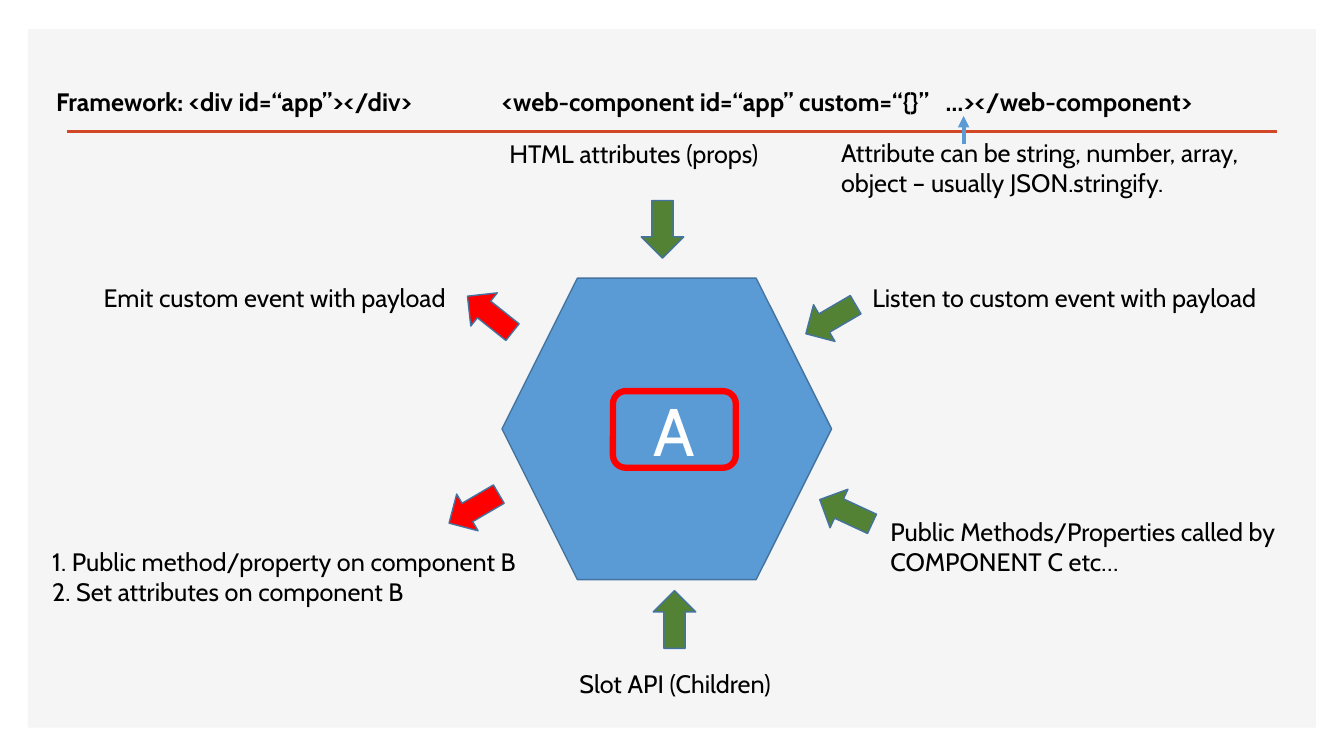
from lxml.etree import SubElement
from pptx import Presentation
from pptx.dml.color import RGBColor
from pptx.enum.shapes import MSO_CONNECTOR, MSO_SHAPE
from pptx.enum.text import MSO_ANCHOR, MSO_AUTO_SIZE, PP_ALIGN
from pptx.oxml.ns import qn
from pptx.util import Pt

COLORS = {
    "panel": "F5F5F5",
    "rule": "D24726",
    "component": "5B9BD5",
    "outline": "43739E",
    "input": "548235",
    "output": "FF0000",
    "text": "000000",
    "letter": "FFFFFF",
}
FONT = "Cabin"
ARROW_WIDTH, ARROW_HEIGHT = 30.4, 41.2

LABELS = [
    (30.2, 386.6, 368, 51, ["1. Public method/property on component B",
                            "2. Set attributes on component B"]),
    (356.7, 95, 222.5, 29, ["HTML attributes (props)"]),
    (616, 198.3, 317, 29, ["Listen to custom event with payload"]),
    (406.8, 473.8, 167, 29, ["Slot API (Children)"]),
    (629, 365, 293, 51, ["Public Methods/Properties called by COMPONENT C etc…"]),
    (67, 198.3, 269, 29, ["Emit custom event with payload"]),
    (593.7, 94.5, 347, 51,
     ["Attribute can be string, number, array, object – usually JSON.stringify."]),
]

ARROWS = [
    (458, 143.2, 180, "input"),
    (334.8, 203.8, 308.6, "output"),
    (466.6, 421.9, 0, "input"),
    (578.2, 207.4, 239.7, "input"),
    (589, 344.9, 294.9, "input"),
    (323.3, 342.7, 239.7, "output"),
]


def rgb(name):
    return RGBColor.from_string(COLORS[name])


def style_font(paragraph, size, color, bold=False):
    font = paragraph.font
    font.name = FONT
    font.size = Pt(size)
    font.bold = bold
    font.color.rgb = rgb(color)


def add_block(slide, kind, left, top, width, height, fill, line=None, weight=1):
    block = slide.shapes.add_shape(kind, Pt(left), Pt(top), Pt(width), Pt(height))
    block.shadow.inherit = False
    block.fill.solid()
    block.fill.fore_color.rgb = rgb(fill)
    if line:
        block.line.color.rgb = rgb(line)
        block.line.width = Pt(weight)
    else:
        block.line.fill.background()
    return block


def add_label(slide, left, top, width, height, lines, bold=False):
    label = slide.shapes.add_textbox(Pt(left), Pt(top), Pt(width), Pt(height))
    frame = label.text_frame
    frame.word_wrap = True
    frame.auto_size = MSO_AUTO_SIZE.SHAPE_TO_FIT_TEXT
    frame.text = "\n".join(lines)
    for paragraph in frame.paragraphs:
        style_font(paragraph, 18, "text", bold)
    return label


def add_tab_stop(paragraph, position):
    properties = paragraph._p.get_or_add_pPr()
    stops = properties.makeelement(qn("a:tabLst"))
    properties.insert(0, stops)
    SubElement(stops, qn("a:tab"), pos=str(Pt(position)), algn="l")


def add_line(slide, start, end, color, weight):
    line = slide.shapes.add_connector(
        MSO_CONNECTOR.STRAIGHT, *(Pt(value) for value in start + end))
    line.line.color.rgb = rgb(color)
    line.line.width = Pt(weight)
    SubElement(line._element.spPr, qn("a:effectLst"))
    return line


def add_arrowhead(line):
    SubElement(line.line._get_or_add_ln(), qn("a:tailEnd"), type="triangle")


def add_component(slide):
    add_block(slide, MSO_SHAPE.HEXAGON, 358.6, 198.7, 235.4, 215.3,
              "component", "outline")
    core = add_block(slide, MSO_SHAPE.ROUNDED_RECTANGLE, 437.8, 279.4, 87.8, 54.7,
                     "component", "output", 4.5)
    core.text_frame.text = "A"
    core.text_frame.vertical_anchor = MSO_ANCHOR.MIDDLE
    letter = core.text_frame.paragraphs[0]
    letter.alignment = PP_ALIGN.CENTER
    style_font(letter, 48, "letter")


def main():
    deck = Presentation()
    deck.slide_width, deck.slide_height = Pt(960), Pt(540)
    slide = deck.slides.add_slide(deck.slide_layouts[6])

    add_block(slide, MSO_SHAPE.RECTANGLE, 20, 20.8, 920, 499, "panel")
    add_line(slide, (47.6, 94), (912.4, 94), "rule", 2)
    add_component(slide)
    for left, top, rotation, direction in ARROWS:
        arrow = add_block(slide, MSO_SHAPE.UP_ARROW, left, top,
                          ARROW_WIDTH, ARROW_HEIGHT, direction, "outline")
        arrow.rotation = rotation
    for label in LABELS:
        add_label(slide, *label)

    add_label(slide, 33, 58.3, 342, 29, ["Framework: <div id=“app”></div>"], bold=True)
    markup = add_label(slide, 351.4, 58.3, 589.7, 29,
                       ["<web-component id=“app” custom=“{}”\t…></web-component>"],
                       bold=True)
    add_tab_stop(markup.text_frame.paragraphs[0], 317)
    add_arrowhead(add_line(slide, (688.3, 103), (688.3, 82.8), "component", 2.75))

    deck.save("out.pptx")


if __name__ == "__main__":
    main()
